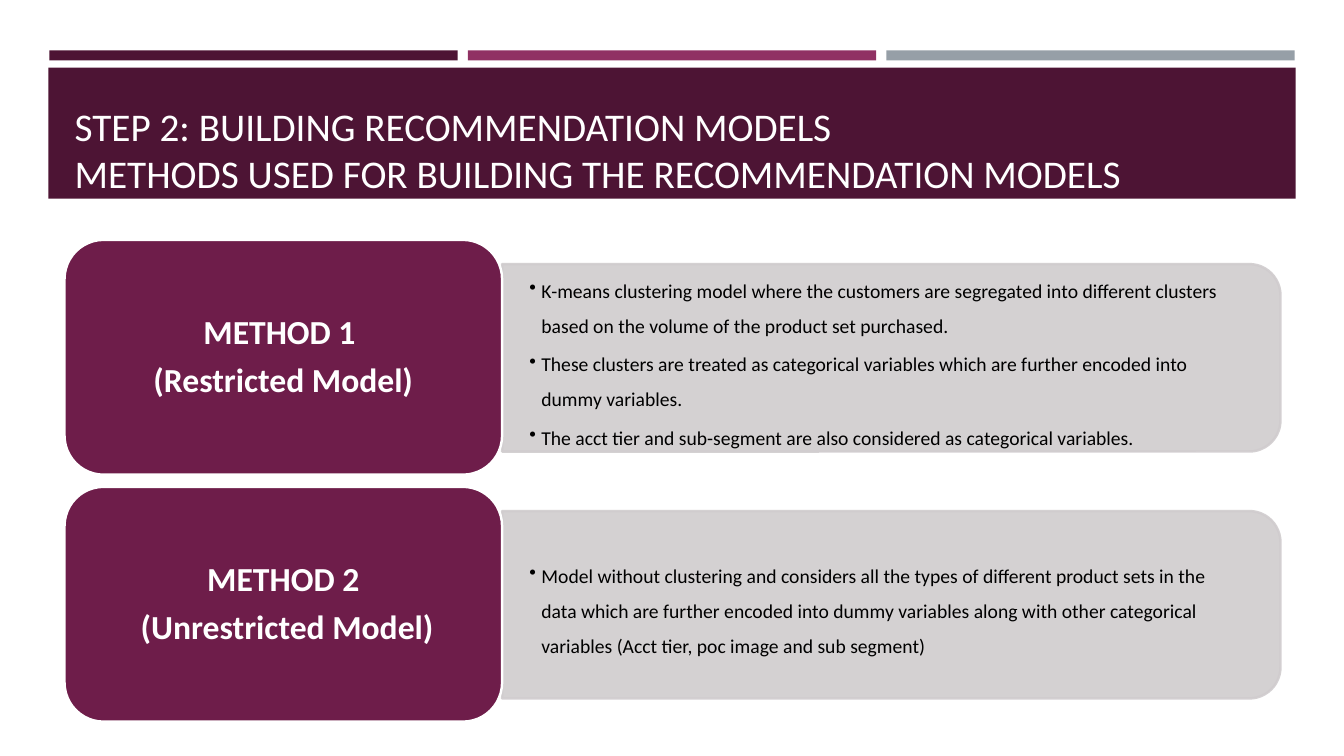
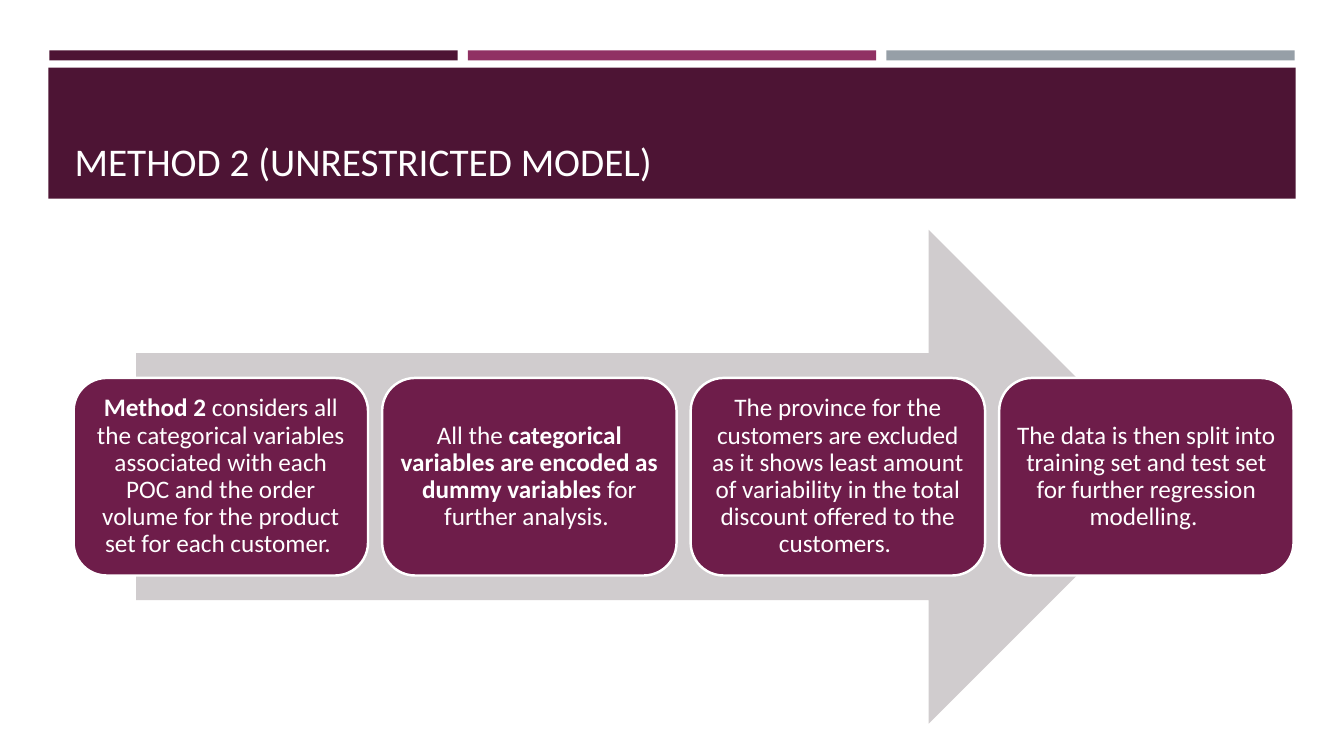
import pptx
import pptx.util
import pptx.dml.color
import pptx.enum.shapes
import pptx.enum.text
import pptx.oxml.ns
import lxml.etree

Inches = pptx.util.Inches
Pt = pptx.util.Pt
qn = pptx.oxml.ns.qn
kinds = pptx.enum.shapes.MSO_SHAPE
align = pptx.enum.text.PP_ALIGN
anchor = pptx.enum.text.MSO_ANCHOR
color = pptx.dml.color.RGBColor.from_string


class Theme:
    font = "Calibri"
    dark = color("4D1434")
    rose = color("903163")
    slate = color("969FA7")
    wine = color("6E1D4A")
    gray = color("D0CCCE")
    white = color("FFFFFF")
    black = color("000000")
    title = Pt(28)
    label = Pt(24)
    card = Pt(18)
    body = Pt(14)
    edge = Pt(1.75)


def draw(slide, kind, at, fill, line=None):
    shape = slide.shapes.add_shape(kind, *map(Inches, at))
    shape.shadow.inherit = False
    shape.fill.solid()
    shape.fill.fore_color.rgb = fill
    if line is None:
        shape.line.fill.background()
    else:
        shape.line.color.rgb = line
        shape.line.width = Theme.edge
    return shape


def write(shape, paras, size, ink, frame, para):
    text = shape.text_frame
    for key, val in {"word_wrap": True, **frame}.items():
        setattr(text, key, val)
    for num, runs in enumerate(paras):
        item = text.add_paragraph() if num else text.paragraphs[0]
        for key, val in para.items():
            setattr(item, key, val)
        for words, bold in runs:
            run = item.add_run()
            run.text = words
            run.font.color.rgb = ink
            for key, val in {"name": Theme.font, "size": size, "bold": bold}.items():
                setattr(run.font, key, val)


deck = pptx.Presentation()
deck.slide_width = Inches(13.33)
deck.slide_height = Inches(7.5)
layout = deck.slide_layouts[5]

titles = [
    (0.89, ["STEP 2: BUILDING RECOMMENDATION MODELS ",
            "METHODS USED FOR BUILDING THE RECOMMENDATION MODELS"]),
    (0.77, ["METHOD 2 (UNRESTRICTED MODEL)"]),
]
head = {"vertical_anchor": anchor.BOTTOM,
        "auto_size": pptx.enum.text.MSO_AUTO_SIZE.NONE}
slides = []
for top, lines in titles:
    slide = deck.slides.add_slide(layout)
    title = slide.shapes.title
    place = {"left": 0.64, "top": top, "width": 12.06, "height": 1.11}
    for key, val in place.items():
        setattr(title, key, Inches(val))
    write(title, [[(line, False)] for line in lines], Theme.title, Theme.white,
          head, {"alignment": align.LEFT})
    slides.append(slide)
first, last = slides

bands = [((0.48, 0.67, 12.37, 1.3), Theme.dark)]
for col, fill in enumerate([Theme.dark, Theme.rose, Theme.slate]):
    bands.append(((0.49 + 4.15 * col, 0.5, 4.05, 0.1), fill))
for at, fill in bands:
    band = draw(first, kinds.RECTANGLE, at, fill)
    layout.shapes.element.insert(2, band.element)

methods = [
    (["METHOD 1 ", "(Restricted Model)"],
     ["K-means clustering model where the customers are segregated into different "
      "clusters based on the volume of the product set purchased.",
      "These clusters are treated as categorical variables which are further "
      "encoded into dummy variables.",
      "The acct tier and sub-segment are also considered as categorical variables."]),
    (["METHOD 2", " (Unrestricted Model)"],
     ["Model without clustering and considers all the types of different product "
      "sets in the data which are further encoded into dummy variables along with "
      "other categorical variables (Acct tier, poc image and sub segment)"]),
]
middle = {"vertical_anchor": anchor.MIDDLE}
sides = ["margin_left", "margin_right", "margin_top", "margin_bottom"]
wide = dict(zip(sides, map(Inches, [0.27, 0.27, 0.14, 0.14])))
tight = dict.fromkeys(sides, Inches(0.07))
center = {"alignment": align.CENTER, "line_spacing": 0.9}

for row, (label, points) in enumerate(methods):
    top = 2.38 + 2.45 * row
    panel = draw(first, kinds.ROUND_2_SAME_RECTANGLE,
                 (7.91, top - 2.69, 1.86, 7.72), Theme.gray, Theme.gray)
    panel.rotation = 90
    for tint in panel.element.iter(qn("a:srgbClr")):
        lxml.etree.SubElement(tint, qn("a:alpha"), val="90000")
    box = first.shapes.add_textbox(*map(Inches, (4.98, top + 0.33, 7.63, 1.68)))
    write(box, [[(point, False)] for point in points], Theme.body, Theme.black,
          {**middle, **wide}, {"line_spacing": 1.5, "space_after": Pt(2.1)})
    for item in box.text_frame.paragraphs:
        props = item._p.get_or_add_pPr()
        props.set("marL", str(Inches(0.12)))
        props.set("indent", str(Inches(-0.12)))
        lxml.etree.SubElement(props, qn("a:buChar"), char="•")
    block = draw(first, kinds.ROUNDED_RECTANGLE, (0.64, top, 4.34, 2.33),
                 Theme.wine, Theme.white)
    write(block, [[(line, True)] for line in label], Theme.label, Theme.white,
          middle, {**center, "space_after": Pt(8.4)})

draw(last, kinds.RIGHT_ARROW, (1.35, 2.28, 10.31, 4.9), Theme.gray)
cards = [
    [("Method 2 ", True),
     ("considers all the categorical variables associated with each POC and the "
      "order volume for the product set for each customer. ", False)],
    [("All the ", False),
     ("categorical variables are encoded as dummy variables ", True),
     ("for further analysis. ", False)],
    [("The province for the customers are excluded as it shows least amount of "
      "variability in the total discount offered to the customers. ", False)],
    [("The data is then split into training set and test set for further "
      "regression modelling. ", False)],
]
for col, runs in enumerate(cards):
    card = draw(last, kinds.ROUNDED_RECTANGLE, (0.73 + 3.06 * col, 3.75, 2.92, 1.96),
                Theme.wine, Theme.white)
    write(card, [runs], Theme.card, Theme.white, {**middle, **tight},
          {**center, "space_after": Pt(6.3)})

deck.save("out.pptx")
